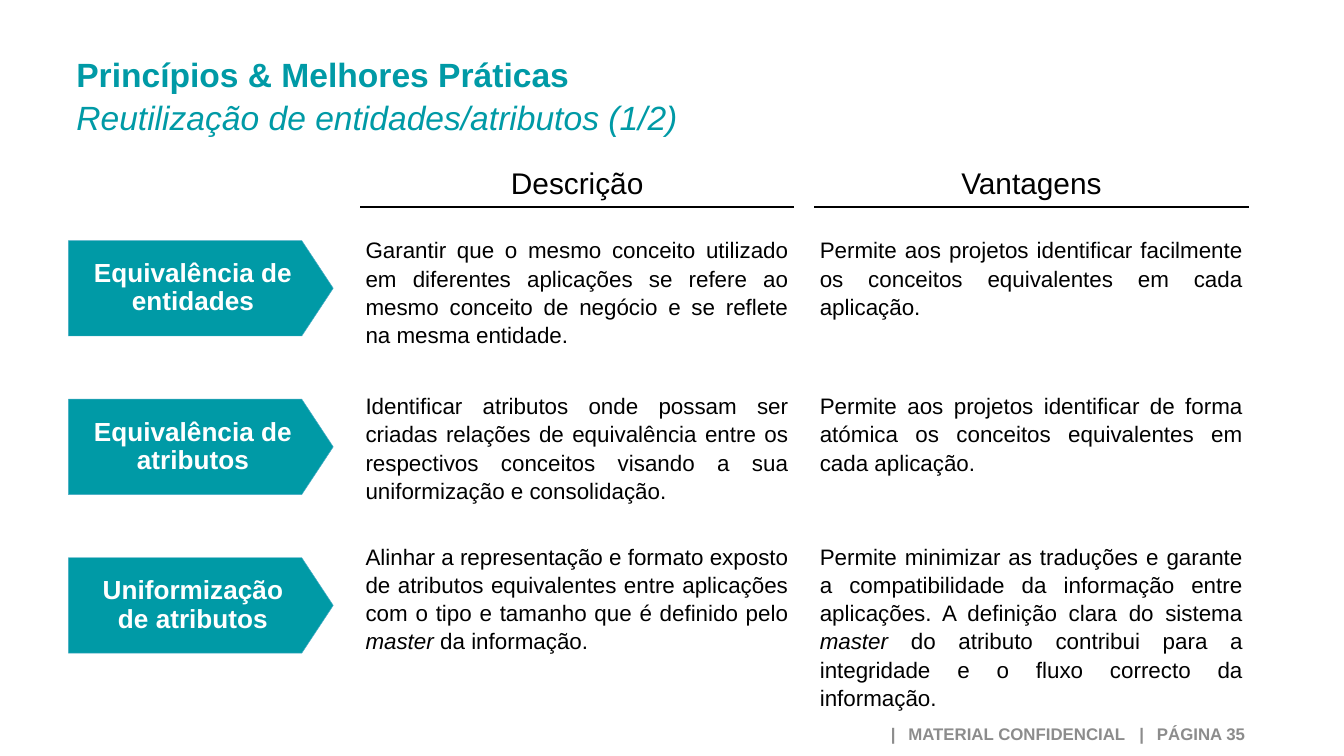
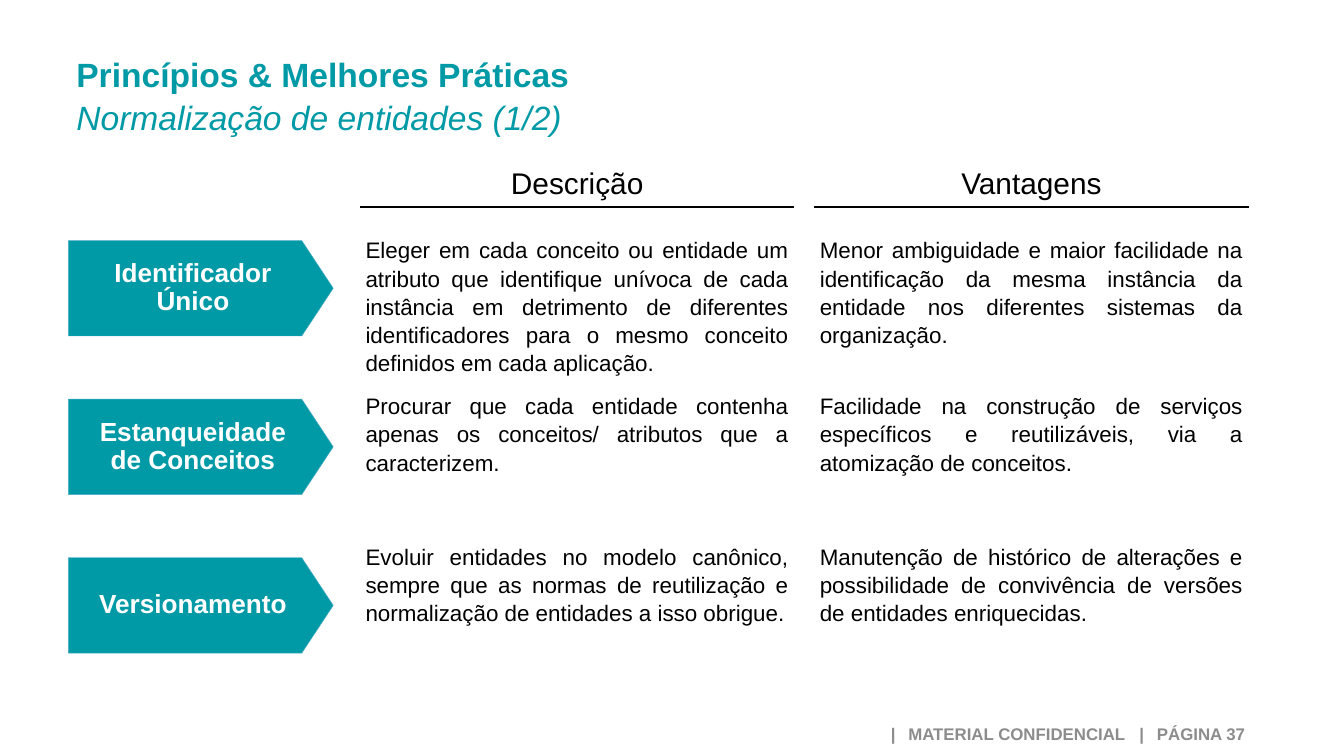
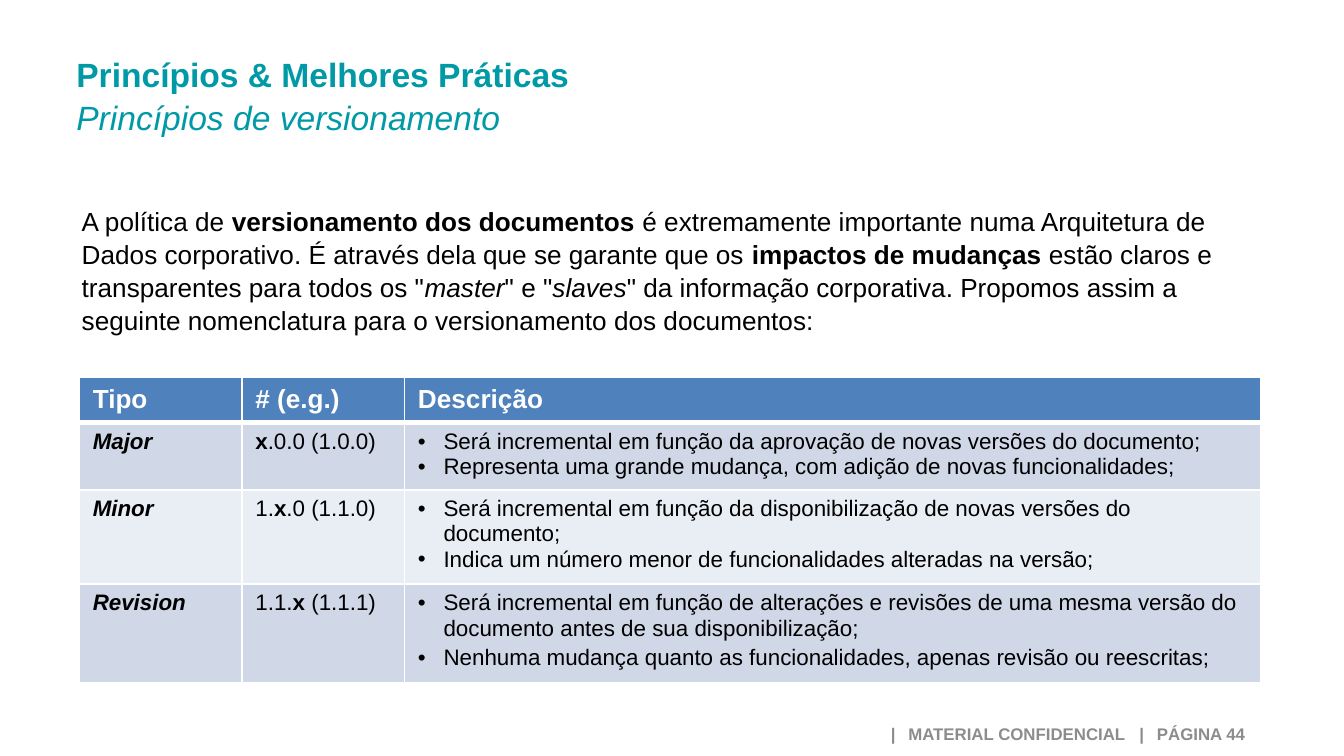
from lxml import etree
from pptx import Presentation
from pptx import util as u
from pptx.dml import color
from pptx.enum import shapes, text
from pptx.oxml import ns

TEAL, BLACK, WHITE = "009AA6", "000000", "FFFFFF"
GREY, AQUA, BLUE = "8C8C8C", "4BACC6", "4F81BD"
BANDS = ("D0D8E8", "E9EDF4")
LEFT, MID, JUST = (text.PP_ALIGN.LEFT, text.PP_ALIGN.CENTER,
                   text.PP_ALIGN.JUSTIFY)
WIDE, TALL = 100, 56.25
COLS = {"Descrição": 26.8, "Vantagens": 60.6}
SPAN = 32.3
TABS = (13.7, 15, 32.2, 33.5)
GROW = {"auto_size": text.MSO_AUTO_SIZE.SHAPE_TO_FIT_TEXT}
CORE = {"vertical_anchor": text.MSO_ANCHOR.MIDDLE}


def cell(n):
    return u.Inches(n / 10)


def rgb(code):
    return color.RGBColor.from_string(code)


def apply(item, values):
    for name, value in values.items():
        setattr(item, name, value)


def add(node, tag, **attrs):
    return etree.SubElement(node, ns.qn(tag), attrs)


def pad(side, top):
    return {"margin_left": cell(side), "margin_right": cell(side),
            "margin_top": cell(top), "margin_bottom": cell(top)}


class Deck:
    def __init__(self):
        self.show = Presentation()
        self.show.slide_width, self.show.slide_height = cell(WIDE), cell(TALL)
        self.slide = None

    def start(self, topic, page):
        self.slide = self.show.slides.add_slide(self.show.slide_layouts[6])
        self.box((4.7, 3.4, 74, 7.1),
                 ["*Princípios & Melhores Práticas*", f"_{topic}_"],
                 18, TEAL)
        foot = self.box((51.6, 53.3, 42.2, 2.9),
                        [f"*\t|\tMATERIAL CONFIDENCIAL\t|\tPÁGINA {page}*"],
                        9, GREY, {"line_spacing": 0.8}, CORE)
        stops = add(foot.paragraphs[0]._p.get_or_add_pPr(), "a:tabLst")
        for stop in TABS:
            add(stops, "a:tab", pos=str(cell(stop)), algn="l")

    def prose(self, frame, lines, size, ink, para):
        for n, line in enumerate(lines):
            item = frame.add_paragraph() if n else frame.paragraphs[0]
            apply(item, para)
            for b, part in enumerate(line.split("*")):
                for i, words in enumerate(part.split("_")):
                    if words:
                        run = item.add_run()
                        run.text = words
                        apply(run.font, {"name": "Arial", "size": u.Pt(size),
                                         "bold": b % 2 == 1,
                                         "italic": i % 2 == 1})
                        run.font.color.rgb = rgb(ink)

    def box(self, area, lines, size, ink=BLACK, para=None, form=GROW):
        frame = self.slide.shapes.add_textbox(*map(cell, area)).text_frame
        apply(frame, {"word_wrap": True, **form})
        self.prose(frame, lines, size, ink,
                   {"alignment": LEFT, "line_spacing": 1.05, **(para or {})})
        return frame

    def arrow(self, top, label):
        shape = self.slide.shapes.add_shape(
            shapes.MSO_SHAPE.PENTAGON, *map(cell, (5.1, top, 19.7, 7.1)))
        shape.adjustments[0] = 0.33
        shape.shadow.inherit = False
        shape.fill.solid()
        shape.fill.fore_color.rgb = rgb(TEAL)
        shape.line.color.rgb = rgb(AQUA)
        shape.line.width = u.Pt(0.25)
        apply(shape.text_frame, {"word_wrap": True, **CORE, **pad(1.2, 0)})
        self.prose(shape.text_frame, [f"*{label}*"], 14, WHITE,
                   {"alignment": MID, "line_spacing": 0.9})

    def rule(self, left, top):
        line = self.slide.shapes.add_connector(
            shapes.MSO_CONNECTOR.STRAIGHT,
            *map(cell, (left, top, left + SPAN, top)))
        line.line.color.rgb = rgb(BLACK)
        line.line.width = u.Pt(0.75)
        add(line._element.spPr, "a:effectLst")

    def matrix(self, items):
        for head, left in COLS.items():
            self.box((left, 11.6, SPAN, 3.7), [head], 16,
                     para={"alignment": MID})
            self.rule(left, 15.4)
        for n, (label, *notes) in enumerate(items):
            self.arrow(17.9 + 11.8 * n, label)
            top = (17.1, 28.7, 39.9)[n]
            for left, (rows, note) in zip(COLS.values(), notes):
                self.box((left, top, SPAN, 0.8 + 2.03 * rows), [note], 12,
                         para={"alignment": JUST},
                         form={**GROW, **pad(0.4, 0.4)})

    def edge(self, slot, base):
        props = slot._tc.get_or_add_tcPr()
        for side in "LRTB":
            width = base if side == "B" else 1
            line = add(props, f"a:ln{side}", w=str(u.Pt(width)))
            add(add(line, "a:solidFill"), "a:srgbClr", val=WHITE)

    def bullet(self, item, gap):
        props = item._p.get_or_add_pPr()
        props.set("marL", str(cell(1.9)))
        props.set("indent", str(-cell(1.9)))
        if gap:
            item.space_before = u.Pt(gap)
        add(props, "a:buFont", typeface="Arial")
        add(props, "a:buChar", char="•")

    def table(self, area, cols, rows, data):
        grid = self.slide.shapes.add_table(
            len(rows), len(cols), *map(cell, area)).table
        for col, width in zip(grid.columns, cols):
            col.width = cell(width)
        for r, (row, height) in enumerate(zip(grid.rows, rows)):
            row.height = cell(height)
            for slot, lines in zip(row.cells, data[r]):
                self.edge(slot, 1 if r else 3)
                slot.fill.solid()
                slot.fill.fore_color.rgb = rgb(BANDS[(r - 1) % 2] if r else BLUE)
                self.prose(slot.text_frame, lines, 12 if r else 14,
                           BLACK if r else WHITE, {"alignment": LEFT})
                if len(lines) > 1:
                    for n, item in enumerate(slot.text_frame.paragraphs):
                        last = r == len(rows) - 1
                        self.bullet(item, 2.4 if n and last else 0)


REUSE = [
    ("Equivalência de entidades",
     (4, "Garantir que o mesmo conceito utilizado em diferentes aplicações se "
         "refere ao mesmo conceito de negócio e se reflete na mesma entidade."),
     (3, "Permite aos projetos identificar facilmente os conceitos "
         "equivalentes em cada aplicação.")),
    ("Equivalência de atributos",
     (4, "Identificar atributos onde possam ser criadas relações de "
         "equivalência entre os respectivos conceitos visando a sua "
         "uniformização e consolidação."),
     (3, "Permite aos projetos identificar de forma atómica os conceitos "
         "equivalentes em cada aplicação.")),
    ("Uniformização de atributos",
     (4, "Alinhar a representação e formato exposto de atributos equivalentes "
         "entre aplicações com o tipo e tamanho que é definido pelo _master_ "
         "da informação."),
     (7, "Permite minimizar as traduções e garante a compatibilidade da "
         "informação entre aplicações. A definição clara do sistema _master_ "
         "do atributo contribui para a integridade e o fluxo correcto da "
         "informação.")),
]
NORMS = [
    ("Identificador Único",
     (5, "Eleger em cada conceito ou entidade um atributo que identifique "
         "unívoca de cada instância em detrimento de diferentes "
         "identificadores para o mesmo conceito definidos em cada aplicação."),
     (4, "Menor ambiguidade e maior facilidade na identificação da mesma "
         "instância da entidade nos diferentes sistemas da organização.")),
    ("Estanqueidade de Conceitos",
     (3, "Procurar que cada entidade contenha apenas os conceitos/ atributos "
         "que a caracterizem."),
     (3, "Facilidade na construção de serviços específicos e reutilizáveis, "
         "via a atomização de conceitos.")),
    ("Versionamento",
     (3, "Evoluir entidades no modelo canônico, sempre que as normas de "
         "reutilização e normalização de entidades a isso obrigue."),
     (3, "Manutenção de histórico de alterações e possibilidade de "
         "convivência de versões de entidades enriquecidas.")),
]
INTRO = (
    "A política de *versionamento dos documentos *é extremamente importante "
    "numa Arquitetura de Dados corporativo. É através dela que se garante que "
    "os *impactos de mudanças *estão claros e transparentes para todos os "
    "\"_master_\" e \"_slaves_\" da informação corporativa. Propomos assim a "
    "seguinte nomenclatura para o versionamento dos documentos:")
KINDS = [
    (["*Tipo*"], ["*# (e.g.)*"], ["*Descrição*"]),
    (["*_Major_*"], ["*x*.0.0 (1.0.0)"],
     ["Será incremental em função da aprovação de novas versões do documento;",
      "Representa uma grande mudança, com adição de novas funcionalidades;"]),
    (["*_Minor_*"], ["1.*x*.0 (1.1.0)"],
     ["Será incremental em função da disponibilização de novas versões do "
      "documento;",
      "Indica um número menor de funcionalidades alteradas na versão;"]),
    (["*_Revision_*"], ["1.1.*x* (1.1.1)"],
     ["Será incremental em função de alterações e revisões de uma mesma "
      "versão do documento antes de sua disponibilização;",
      "Nenhuma mudança quanto as funcionalidades, apenas revisão ou "
      "reescritas;"]),
]


def main():
    deck = Deck()
    deck.start("Reutilização de entidades/atributos (1/2)", 35)
    deck.matrix(REUSE)
    deck.start("Normalização de entidades (1/2)", 37)
    deck.matrix(NORMS)
    deck.start("Princípios de versionamento", 44)
    deck.box((5.1, 14.7, 88.7, 10.4), [INTRO], 14)
    deck.table((5.9, 28.1, 87.9, 22.6), (12.1, 12.1, 63.7),
               (3.3, 5, 7, 7.3), KINDS)
    deck.show.save("out.pptx")


if __name__ == "__main__":
    main()
